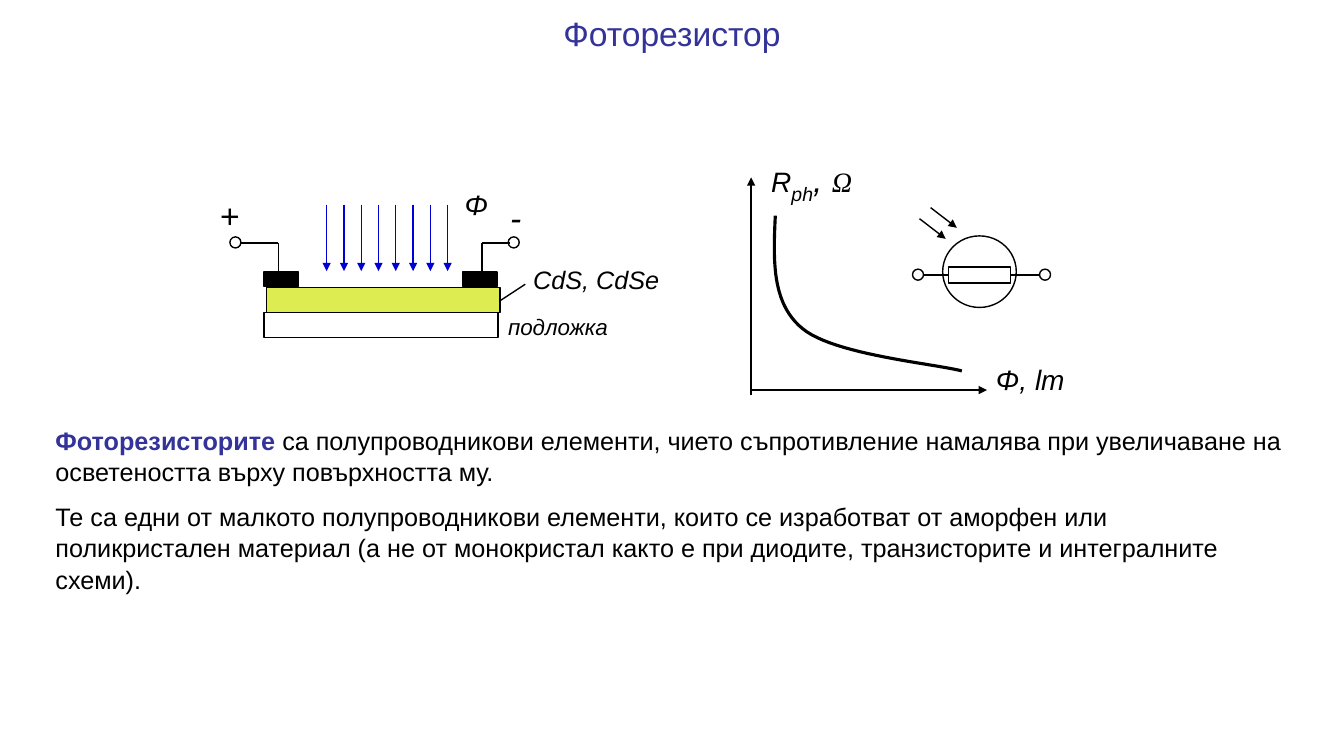
from pptx import Presentation
from pptx.dml.color import RGBColor
from pptx.enum.shapes import MSO_CONNECTOR as MC, MSO_SHAPE as MS
from pptx.enum.text import MSO_ANCHOR as MA, MSO_AUTO_SIZE as MAS, PP_ALIGN as PA
from pptx.oxml.ns import qn
from pptx.util import Inches, Pt
from lxml.etree import SubElement

BLACK, WHITE, NAVY, BLUE, LIME = "000000", "FFFFFF", "333399", "0000D2", "DDEC50"


def rgb(c):
    """Turn a hex string into a colour."""
    return RGBColor.from_string(c)


def add_run(p, text, size, color=BLACK, bold=False, italic=False, font="Arial", base=None):
    """Append one formatted run to a paragraph."""
    r = p.add_run()
    r.text = text
    f = r.font
    f.name, f.size, f.bold, f.italic = font, Pt(size), bold, italic
    f.color.rgb = rgb(color)
    if base:
        r._r.get_or_add_rPr().set("baseline", str(base))


def add_label(s, x, y, w, h, *runs):
    """Add an italic label made of (text, size, options) runs."""
    tf = s.shapes.add_textbox(Inches(x), Inches(y), Inches(w), Inches(h)).text_frame
    tf.word_wrap = True
    for text, size, opts in runs:
        add_run(tf.paragraphs[0], text, size, italic=True, **opts)


def add_box(s, kind, x, y, w, h, fill=None):
    """Add a preset shape with a thin black outline."""
    sp = s.shapes.add_shape(kind, Inches(x), Inches(y), Inches(w), Inches(h))
    sp.shadow.inherit = False
    sp.line.color.rgb = rgb(BLACK)
    sp.line.width = Pt(1)
    if fill:
        sp.fill.solid()
        sp.fill.fore_color.rgb = rgb(fill)
    else:
        sp.fill.background()


def add_line(s, x1, y1, x2, y2, color=BLACK, arrow=False):
    """Add a straight line, with an arrowhead at its end if asked."""
    cn = s.shapes.add_connector(MC.STRAIGHT, Inches(x1), Inches(y1), Inches(x2), Inches(y2))
    cn.line.color.rgb = rgb(color)
    cn.line.width = Pt(1)
    if arrow:
        SubElement(cn.line._get_or_add_ln(), qn("a:tailEnd"), type="triangle")
    SubElement(cn._element.spPr, qn("a:effectLst"))


def bezier(a, b, c, d, n=24):
    """Return n points along a cubic curve, without its start."""
    ts = [i / n for i in range(1, n + 1)]
    return [tuple((1 - t) ** 3 * k + 3 * (1 - t) ** 2 * t * l + 3 * (1 - t) * t * t * m + t ** 3 * q
                  for k, l, m, q in zip(a, b, c, d)) for t in ts]


def add_title(s, x, y, w, h):
    """Fill the title placeholder."""
    sp = s.shapes.title
    sp.left, sp.top, sp.width, sp.height = map(Inches, (x, y, w, h))
    tf = sp.text_frame
    tf.auto_size, tf.vertical_anchor = MAS.NONE, MA.MIDDLE
    p = tf.paragraphs[0]
    p.alignment = PA.CENTER
    add_run(p, "Фоторезистор", 24, NAVY)


def add_body(s, x, y, w, h):
    """Fill the body placeholder with the two explanations."""
    sp = s.placeholders[1]
    sp.left, sp.top, sp.width, sp.height = map(Inches, (x, y, w, h))
    tf = sp.text_frame
    tf.auto_size, tf.vertical_anchor = MAS.NONE, MA.TOP
    paras = [
        [("Фоторезисторите", NAVY, True),
         (" са полупроводникови елементи, чието съпротивление намалява при увеличаване на "
          "осветеността върху повърхността му.", BLACK, False)],
        [("Те са едни от малкото полупроводникови елементи, които се изработват от аморфен или "
          "поликристален материал (а не от монокристал както е при диодите, транзисторите и "
          "интегралните схеми).", BLACK, False)],
    ]
    for i, runs in enumerate(paras):
        p = tf.add_paragraph() if i else tf.paragraphs[0]
        p.line_spacing = 1.05
        p.space_before = Pt(9 if i else 0)
        pPr = p._p.get_or_add_pPr()
        pPr.set("marL", "0")
        pPr.set("indent", "0")
        SubElement(pPr, qn("a:buNone"))
        for text, color, bold in runs:
            add_run(p, text, 18, color, bold)


def add_device(s, x, y):
    """Draw the photoresistor cross-section from its top left corner."""
    add_box(s, MS.RECTANGLE, x + .56, y + 1.04, 2.32, .25, LIME)
    add_box(s, MS.RECTANGLE, x + .54, y + 1.29, 2.32, .25, WHITE)
    for pad, wire, end, ring in ((.54, .68, .3, .2), (2.51, 2.7, 2.98, 2.96)):
        add_box(s, MS.RECTANGLE, x + pad, y + .89, .34, .14, BLACK)
        add_line(s, x + wire, y + .89, x + wire, y + .6)
        add_line(s, x + wire, y + .6, x + end, y + .6)
        add_box(s, MS.OVAL, x + ring, y + .54, .11, .11)
    for i in range(8):
        ray = x + 1.16 + i * 1.2 / 7
        add_line(s, ray, y + .22, ray, y + .88, BLUE, True)
    add_line(s, x + 2.87, y + 1.18, x + 3.13, y + 1.01)
    add_label(s, x, y + .07, .49, .5, ("+", 24, {}))
    add_label(s, x + 2.88, y + .09, .39, .5, ("-", 24, {}))
    add_label(s, x + 2.43, y, .52, .43, ("Φ", 20, {}))
    add_label(s, x + 3.11, y + .76, 1.95, .4, ("CdS, CdSe", 18, {}))
    add_label(s, x + 2.86, y + 1.25, 1.82, .37, ("подложка", 16, {}))


def add_symbol(s, x, y):
    """Draw the circuit symbol from its top left corner."""
    add_line(s, x + .03, y + .67, x + 1.26, y + .67)
    add_box(s, MS.RECTANGLE, x + .36, y + .59, .61, .16, WHITE)
    for dx in (0, 1.26):
        add_box(s, MS.OVAL, x + dx, y + .61, .11, .11, WHITE)
    add_box(s, MS.OVAL, x + .3, y + .28, .73, .71)
    for dx, dy in ((.07, .11), (.18, 0)):
        add_line(s, x + dx, y + dy, x + dx + .26, y + dy + .2, arrow=True)


def add_graph(s, x, y):
    """Draw resistance against luminous flux from the top of its axis."""
    add_line(s, x, y + 2.16, x, y, arrow=True)
    add_line(s, x, y + 2.11, x + 2.34, y + 2.11, arrow=True)
    start, knee = (.24, .38), (.51, 1.5)
    pts = bezier(start, (.22, .81), (.2, 1.25), knee)
    pts += bezier(knee, (.82, 1.76), (1.83, 1.85), (2.09, 1.92))
    fb = s.shapes.build_freeform(Inches(x + start[0]), Inches(y + start[1]))
    fb.add_line_segments([(Inches(x + a), Inches(y + b)) for a, b in pts], close=False)
    sp = fb.convert_to_shape()
    sp.shadow.inherit = False
    sp.fill.background()
    sp.line.color.rgb = rgb(BLACK)
    sp.line.width = Pt(2.25)
    add_label(s, x + 2.33, y + 1.79, 1.09, .43, ("Φ, lm", 20, {}))
    add_label(s, x + .1, y - .23, 1.42, .5, ("R", 20, {}), ("ph", 24, {"base": -25000}),
              (", ", 24, {}), ("Ω", 20, {"font": "Times New Roman"}))


def main():
    """Build the slide and save it."""
    prs = Presentation()
    prs.slide_width, prs.slide_height = Inches(13.33), Inches(7.5)
    s = prs.slides.add_slide(prs.slide_layouts[1])
    add_title(s, 0, .07, 13.33, .52)
    add_body(s, .45, 4.15, 12.44, 1.77)
    add_device(s, 2.08, 1.81)
    add_symbol(s, 9.05, 2.06)
    add_graph(s, 7.45, 1.76)
    prs.save("out.pptx")


if __name__ == "__main__":
    main()
